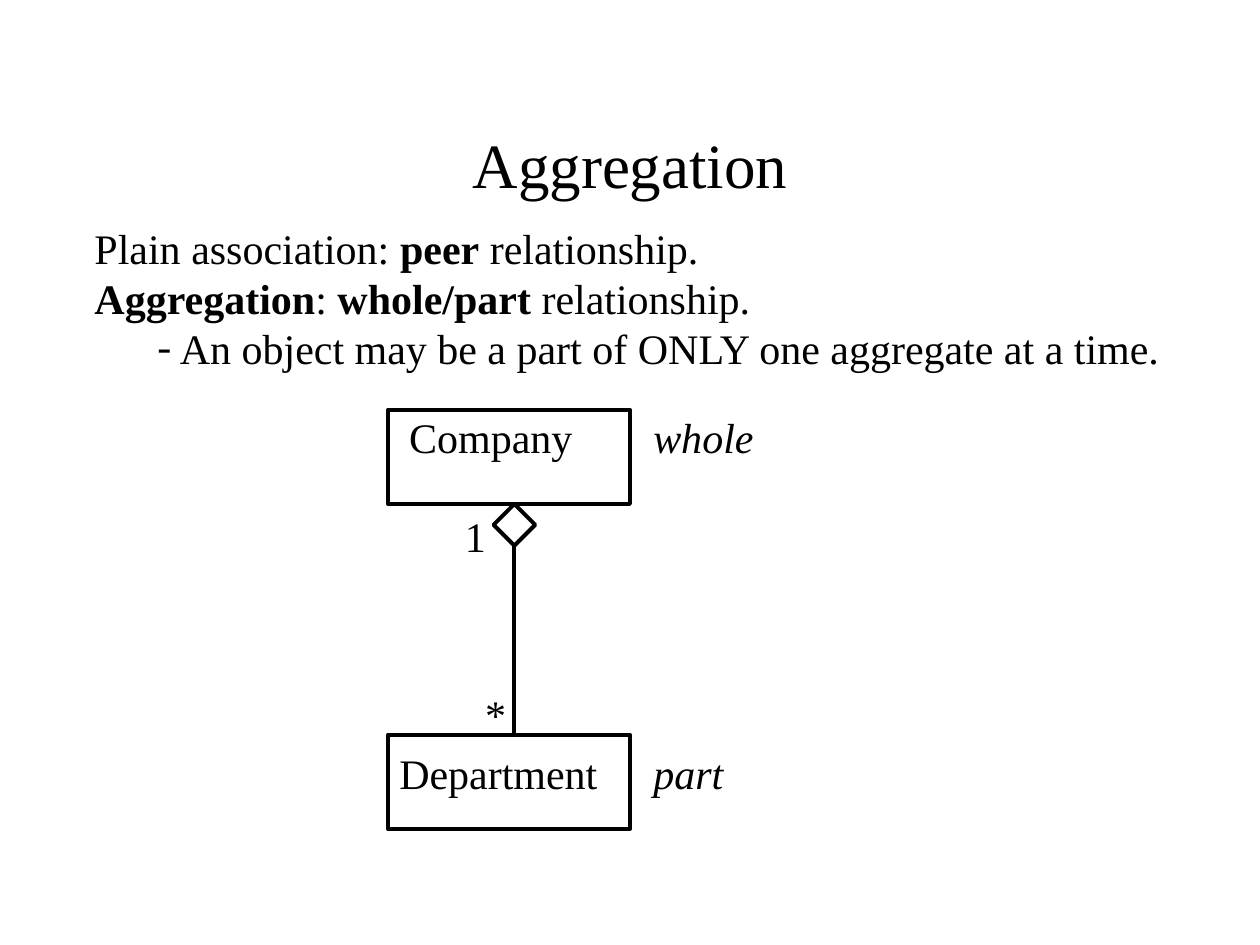
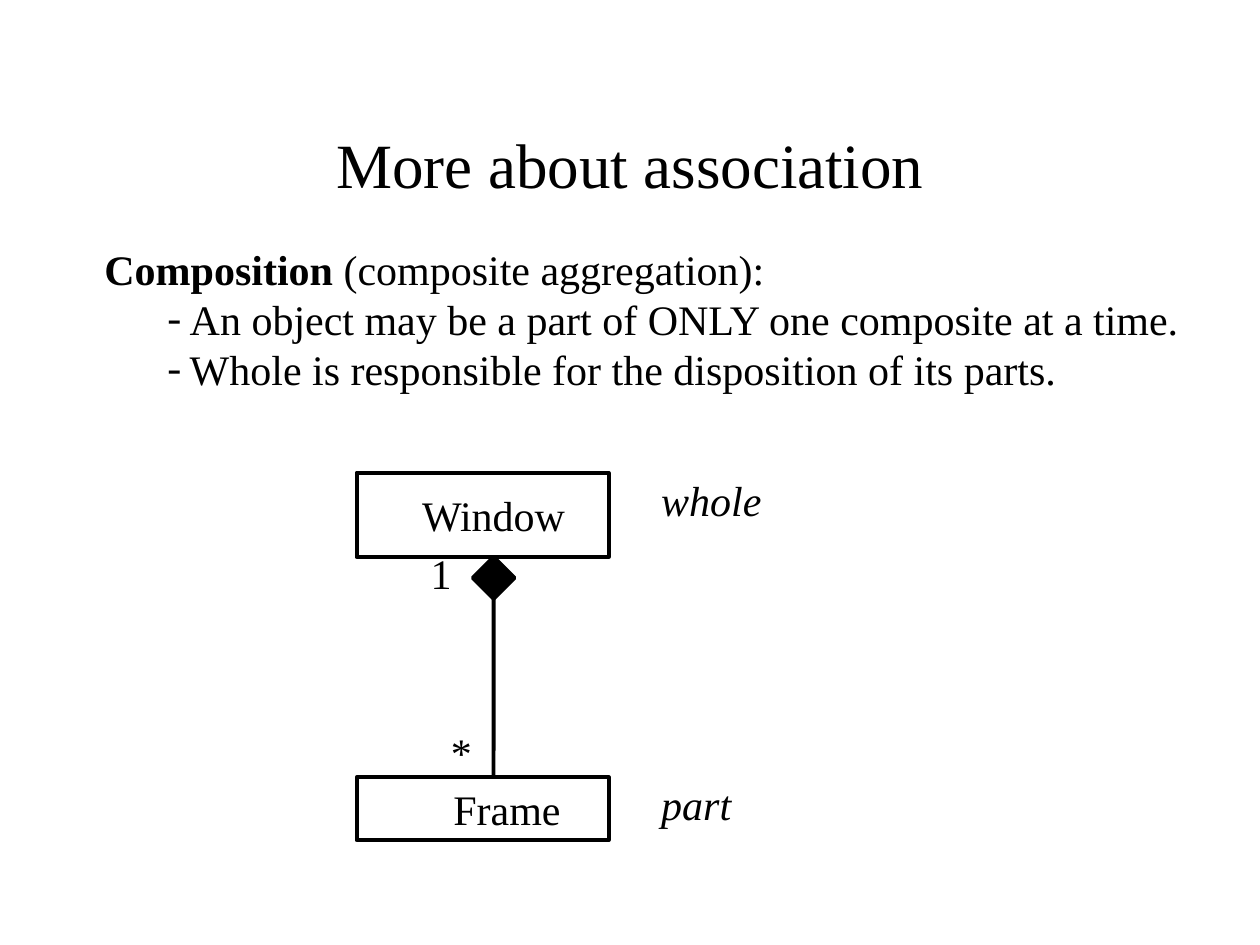
from lxml import etree
from pptx import Presentation
from pptx.dml.color import RGBColor
from pptx.enum.shapes import MSO_CONNECTOR, MSO_SHAPE
from pptx.enum.text import MSO_ANCHOR, MSO_AUTO_SIZE, PP_ALIGN
from pptx.oxml.ns import qn
from pptx.util import Cm, Pt

RECTANGLE, DIAMOND = MSO_SHAPE.RECTANGLE, MSO_SHAPE.DIAMOND
STRAIGHT = MSO_CONNECTOR.STRAIGHT
CENTER, LEFT = PP_ALIGN.CENTER, PP_ALIGN.LEFT
TOP, MIDDLE = MSO_ANCHOR.TOP, MSO_ANCHOR.MIDDLE
NO_AUTOFIT = MSO_AUTO_SIZE.NONE

FONT, INK = "Times New Roman", "000000"
TITLE_PT, TEXT_PT, LINE_PT = 36, 24, 2.25
LEADING = 1.19
TITLE_FRAME = (1.9, 1.7, 21.6, 3.18)
BODY_SIZE = (23.1, 3.4)
DIAMOND_SIZE, LABEL_HEIGHT = 0.84, 1.27
DASH_INDENT, DASH_HANG = 1.72, 0.45

# Statements: (has a dash, [(text, is bold), ...]).
# Classes: left, top, width, height. Labels: text, left, top, width.
SLIDES = [
    {
        "title": "Aggregation",
        "statements_at": (1.65, 4.36),
        "statements": [
            (False, [("Plain association: ", False), ("peer", True), (" relationship.", False)]),
            (False, [("Aggregation", True), (": ", False), ("whole/part", True),
                     (" relationship.", False)]),
            (True, [("An object may be a part of ONLY one aggregate at a time.", False)]),
        ],
        "whole": (7.82, 8.26, 4.88, 1.9),
        "part": (7.82, 14.81, 4.88, 1.9),
        "link_x": 10.37,
        "diamond_filled": False,
        "labels": [("1", 9.12, 10.18, 1.1), ("*", 9.53, 13.77, 1.1),
                   ("Company", 8.0, 8.17, 4.3), ("Department", 7.8, 14.96, 4.9)],
        "roles": [("whole", 12.92, 8.17, 3.0), ("part", 12.92, 14.96, 3.0)],
    },
    {
        "title": "More about association",
        "statements_at": (1.85, 4.78),
        "statements": [
            (False, [("Composition", True), (" (composite aggregation):", False)]),
            (True, [("An object may be a part of ONLY one composite at a time.", False)]),
            (True, [("Whole is responsible for the disposition of its parts.", False)]),
        ],
        "whole": (7.19, 9.53, 5.08, 1.7),
        "part": (7.19, 15.67, 5.08, 1.27),
        "link_x": 9.95,
        "diamond_filled": True,
        "labels": [("1", 8.43, 10.92, 1.1), ("*", 8.84, 14.52, 1.1),
                   ("Window", 8.26, 9.75, 3.9), ("Frame", 8.89, 15.67, 3.3)],
        "roles": [("whole", 13.08, 9.44, 3.0), ("part", 13.08, 15.57, 3.0)],
    },
]


def color(hex_text):
    return RGBColor.from_string(hex_text)


def cm(*lengths):
    return [Cm(length) for length in lengths]


def place(placeholder, frame, anchor):
    placeholder.left, placeholder.top, placeholder.width, placeholder.height = cm(*frame)
    text = placeholder.text_frame
    text.auto_size = NO_AUTOFIT
    text.word_wrap = True
    text.vertical_anchor = anchor
    return text


def write(paragraph, runs, size=TEXT_PT, align=LEFT, italic=False):
    paragraph.alignment = align
    paragraph.line_spacing = Pt(round(size * LEADING, 1))
    paragraph.space_before = Pt(0)
    for words, bold in runs:
        run = paragraph.add_run()
        run.text = words
        run.font.name, run.font.size = FONT, Pt(size)
        run.font.bold, run.font.italic = bold, italic
        run.font.color.rgb = color(INK)


def set_dash(paragraph, has_dash):
    """Give the paragraph a hanging dash, or clear its inherited bullet."""
    properties = paragraph._p.get_or_add_pPr()
    properties.set("marL", str(Cm(DASH_INDENT) if has_dash else 0))
    properties.set("indent", str(-Cm(DASH_HANG) if has_dash else 0))
    if has_dash:
        etree.SubElement(properties, qn("a:buFont")).set("typeface", FONT)
        etree.SubElement(properties, qn("a:buChar")).set("char", "-")
    else:
        etree.SubElement(properties, qn("a:buNone"))


def add_statements(slide, content):
    frame = (*content["statements_at"], *BODY_SIZE)
    body = place(slide.placeholders[1], frame, TOP)
    for index, (has_dash, runs) in enumerate(content["statements"]):
        paragraph = body.add_paragraph() if index else body.paragraphs[0]
        set_dash(paragraph, has_dash)
        write(paragraph, runs)


def add_outline(slide, kind, frame, filled=False):
    outline = slide.shapes.add_shape(kind, *cm(*frame))
    outline.shadow.inherit = False
    if filled:
        outline.fill.solid()
        outline.fill.fore_color.rgb = color(INK)
    else:
        outline.fill.background()
    outline.line.color.rgb = color(INK)
    outline.line.width = Pt(LINE_PT)
    return outline


def add_label(slide, words, left, top, width, italic=False):
    label = slide.shapes.add_textbox(*cm(left, top, width, LABEL_HEIGHT)).text_frame
    label.word_wrap = True
    write(label.paragraphs[0], [(words, False)], italic=italic)


def add_diagram(slide, content):
    whole, part, link_x = content["whole"], content["part"], content["link_x"]
    for frame in (whole, part):
        add_outline(slide, RECTANGLE, frame)
    diamond_top = whole[1] + whole[3]
    diamond = add_outline(
        slide, DIAMOND,
        (link_x - DIAMOND_SIZE / 2, diamond_top, DIAMOND_SIZE, DIAMOND_SIZE),
        content["diamond_filled"])
    link = slide.shapes.add_connector(
        STRAIGHT, *cm(link_x, diamond_top + DIAMOND_SIZE, link_x, part[1]))
    link.begin_connect(diamond, 2)
    link.line.color.rgb = color(INK)
    link.line.width = Pt(LINE_PT)
    etree.SubElement(link._element.spPr, qn("a:effectLst"))
    for label in content["labels"]:
        add_label(slide, *label)
    for role in content["roles"]:
        add_label(slide, *role, italic=True)


def main():
    deck = Presentation()
    deck.slide_width, deck.slide_height = cm(25.4, 19.05)
    for content in SLIDES:
        slide = deck.slides.add_slide(deck.slide_layouts[1])
        title = place(slide.shapes.title, TITLE_FRAME, MIDDLE)
        write(title.paragraphs[0], [(content["title"], False)], TITLE_PT, CENTER)
        add_statements(slide, content)
        add_diagram(slide, content)
    deck.save("out.pptx")


if __name__ == "__main__":
    main()
